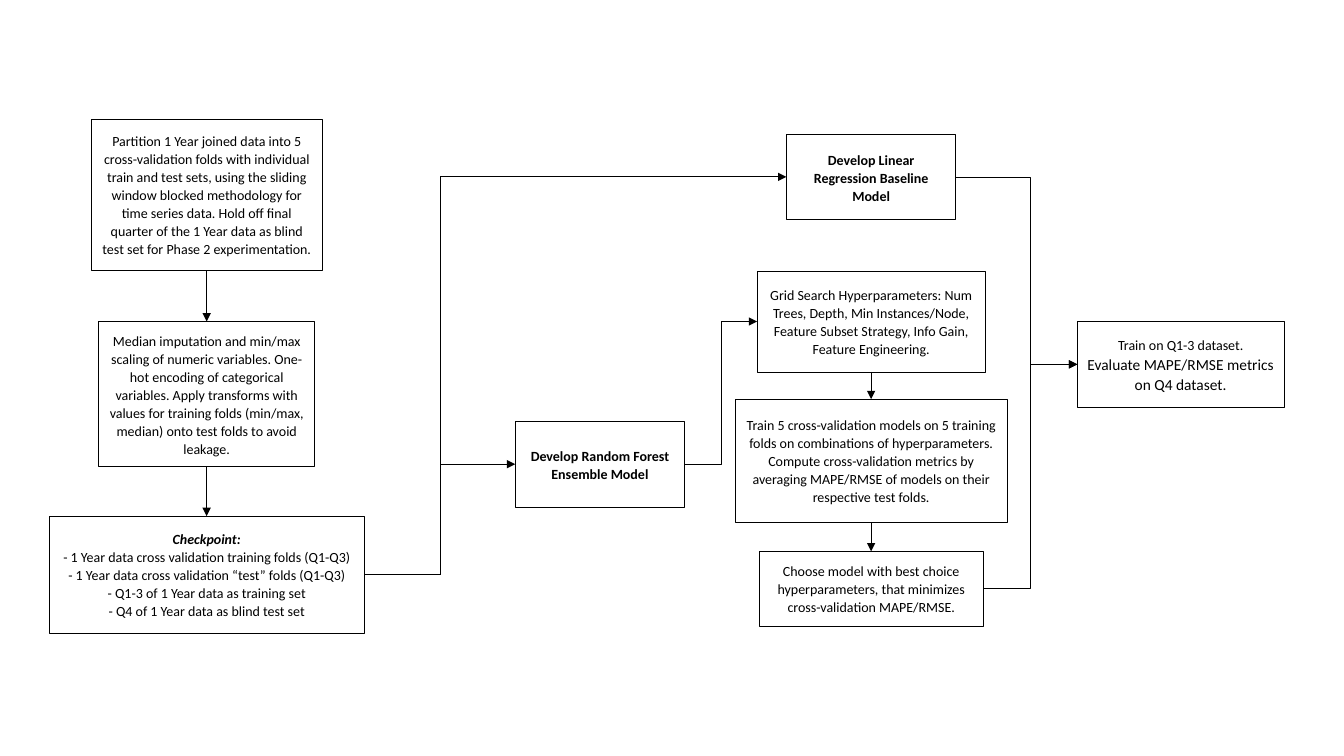
from dataclasses import dataclass

import pptx
import pptx.dml.color
import pptx.enum.shapes
import pptx.enum.text
import pptx.oxml
import pptx.oxml.ns
import pptx.util
from pptx.util import Inches


@dataclass(frozen=True)
class Theme:
    font: str = "Calibri"
    ink: pptx.dml.color.RGBColor = pptx.dml.color.RGBColor(0, 0, 0)
    paper: pptx.dml.color.RGBColor = pptx.dml.color.RGBColor(255, 255, 255)
    body: float = 10
    large: float = 11
    line: float = 0.5
    spacing: float = 1.07
    inset: float = 0.1


THEME = Theme()
TOP, LEFT, BOTTOM, RIGHT = range(4)  # connection sites of a rectangle
PREP_X, FOREST_X, MODEL_X, FINAL_X = 2.05, 5.95, 8.64, 11.71  # column centres


def add_box(s, center_x, top, width, height, *lines, bold=False):
    """Add a bordered box; each line is a text or a (text, font options) pair."""
    sp = s.shapes.add_shape(
        pptx.enum.shapes.MSO_SHAPE.RECTANGLE,
        Inches(center_x - width / 2), Inches(top), Inches(width), Inches(height))
    sp.shadow.inherit = False
    sp.fill.solid()
    sp.fill.fore_color.rgb = THEME.paper
    sp.line.color.rgb = THEME.ink
    sp.line.width = pptx.util.Pt(THEME.line)
    tf = sp.text_frame
    tf.word_wrap = True
    tf.vertical_anchor = pptx.enum.text.MSO_ANCHOR.MIDDLE
    tf.margin_left = tf.margin_right = Inches(THEME.inset)
    tf.margin_top = tf.margin_bottom = Inches(THEME.inset)
    for i, line in enumerate(lines):
        text, options = (line, {}) if isinstance(line, str) else line
        p = tf.add_paragraph() if i else tf.paragraphs[0]
        p.alignment = pptx.enum.text.PP_ALIGN.CENTER
        p.line_spacing = THEME.spacing
        r = p.add_run()
        r.text = text
        r.font.name = THEME.font
        r.font.size = pptx.util.Pt(options.get("size", THEME.body))
        r.font.bold = options.get("bold", bold)
        r.font.italic = options.get("italic", False)
        r.font.color.rgb = THEME.ink
    return sp


def add_arrow(s, kind, start, start_site, end, end_site):
    cxn = s.shapes.add_connector(kind, 0, 0, 0, 0)
    cxn.begin_connect(start, start_site)
    cxn.end_connect(end, end_site)
    cxn.line.color.rgb = THEME.ink
    cxn.line.width = pptx.util.Pt(THEME.line)
    tail = pptx.oxml.parse_xml(
        f'<a:tailEnd {pptx.oxml.ns.nsdecls("a")} type="triangle"/>')
    cxn.line._get_or_add_ln().append(tail)
    cxn._element.spPr.append(
        pptx.oxml.parse_xml(f'<a:effectLst {pptx.oxml.ns.nsdecls("a")}/>'))
    return cxn


def arrow_down(s, upper, lower):
    add_arrow(s, pptx.enum.shapes.MSO_CONNECTOR.STRAIGHT, upper, BOTTOM, lower, TOP)


def arrow_across(s, start, end, bend_x):
    """Join two boxes by an elbow whose upright part stands at bend_x inches."""
    cxn = add_arrow(s, pptx.enum.shapes.MSO_CONNECTOR.ELBOW, start, RIGHT, end, LEFT)
    share = (Inches(bend_x) - cxn.begin_x) / (cxn.end_x - cxn.begin_x)
    geom = cxn._element.spPr.find(pptx.oxml.ns.qn("a:prstGeom"))
    guides = geom.find(pptx.oxml.ns.qn("a:avLst"))
    guides.append(pptx.oxml.parse_xml(
        f'<a:gd {pptx.oxml.ns.nsdecls("a")} name="adj1" fmla="val {round(share * 100000)}"/>'))


def main():
    prs = pptx.Presentation()
    prs.slide_width, prs.slide_height = Inches(13.33), Inches(7.5)
    s = prs.slides.add_slide(prs.slide_layouts[6])

    partition = add_box(
        s, PREP_X, 1.18, 2.29, 1.5,
        "Partition 1 Year joined data into 5 cross-validation folds with individual train "
        "and test sets, using the sliding window blocked methodology for time series data. "
        "Hold off final quarter of the 1 Year data as blind test set for Phase 2 "
        "experimentation.")
    transform = add_box(
        s, PREP_X, 3.19, 2.14, 1.44,
        "Median imputation and min/max scaling of numeric variables. One-hot encoding of "
        "categorical variables. Apply transforms with values for training folds (min/max, "
        "median) onto test folds to avoid leakage.")
    checkpoint = add_box(
        s, PREP_X, 5.12, 3.13, 1.16,
        ("Checkpoint:", {"bold": True, "italic": True}),
        "- 1 Year data cross validation training folds (Q1-Q3)",
        "- 1 Year data cross validation “test” folds (Q1-Q3)",
        "- Q1-3 of 1 Year data as training set",
        "- Q4 of 1 Year data as blind test set")
    baseline = add_box(s, MODEL_X, 1.33, 1.68, 0.85,
                       "Develop Linear Regression Baseline Model", bold=True)
    forest = add_box(s, FOREST_X, 4.18, 1.68, 0.85,
                     "Develop Random Forest Ensemble Model", bold=True)
    grid_search = add_box(
        s, MODEL_X, 2.69, 2.26, 1,
        "Grid Search Hyperparameters: Num Trees, Depth, Min Instances/Node, Feature Subset "
        "Strategy, Info Gain, Feature Engineering.")
    cross_validate = add_box(
        s, MODEL_X, 3.96, 2.7, 1.22,
        "Train 5 cross-validation models on 5 training folds on combinations of "
        "hyperparameters. Compute cross-validation metrics by averaging MAPE/RMSE of models "
        "on their respective test folds.")
    choose = add_box(
        s, MODEL_X, 5.47, 2.22, 0.74,
        "Choose model with best choice hyperparameters, that minimizes cross-validation "
        "MAPE/RMSE.")
    evaluate = add_box(
        s, FINAL_X, 3.19, 2.05, 0.85,
        "Train on Q1-3 dataset.",
        ("Evaluate MAPE/RMSE metrics on Q4 dataset.", {"size": THEME.large}))

    for chain in ((partition, transform, checkpoint),
                  (grid_search, cross_validate, choose)):
        for upper, lower in zip(chain, chain[1:]):
            arrow_down(s, upper, lower)
    for start, end, bend_x in ((checkpoint, baseline, 4.37), (checkpoint, forest, 4.37),
                               (forest, grid_search, 7.15),
                               (choose, evaluate, 10.22), (baseline, evaluate, 10.22)):
        arrow_across(s, start, end, bend_x)

    prs.save("out.pptx")


if __name__ == "__main__":
    main()
